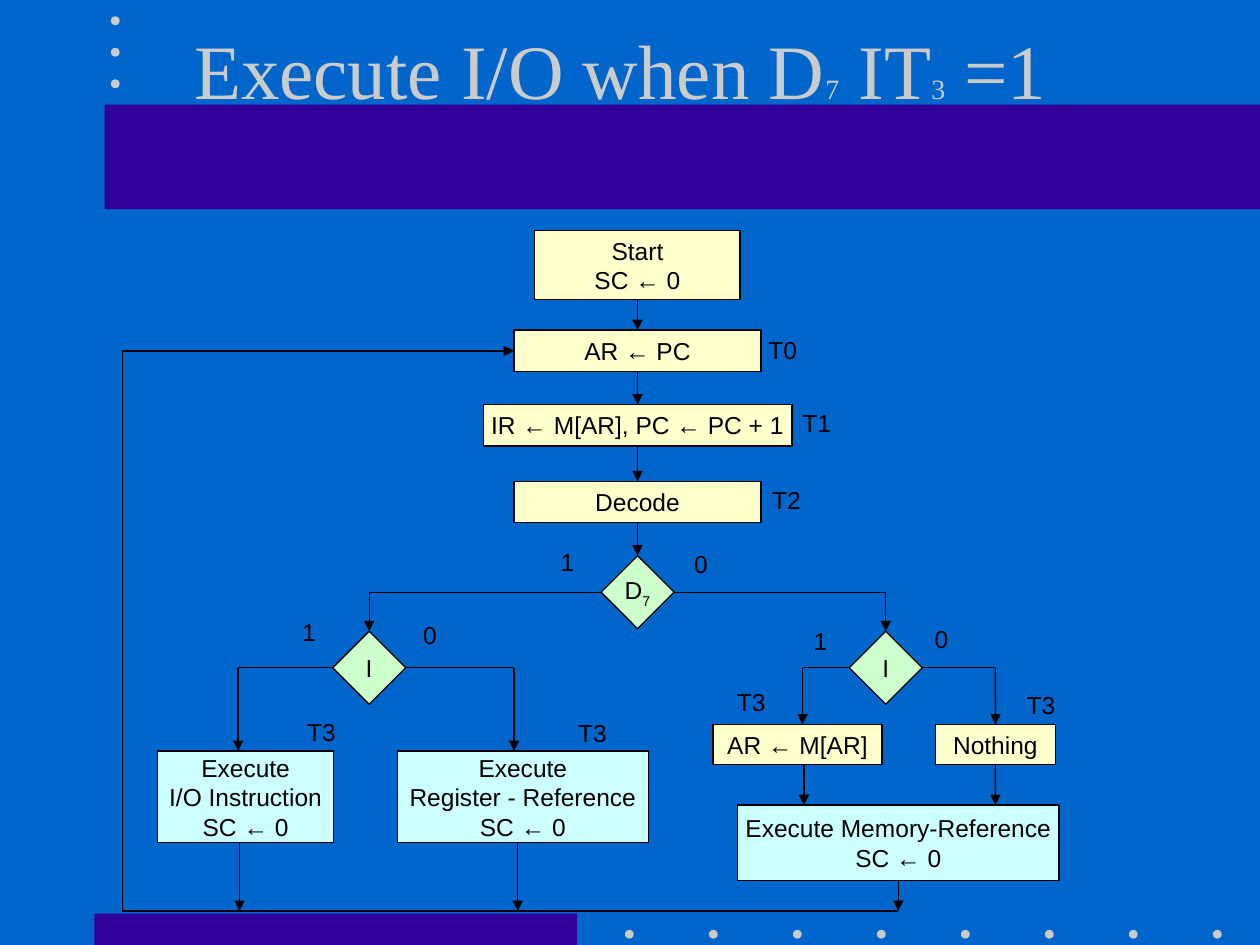
import pptx
import pptx.util
import pptx.dml.color
import pptx.enum.shapes
import pptx.enum.text
import pptx.oxml.ns
from lxml import etree

Inches = pptx.util.Inches
Pt = pptx.util.Pt
RGB = pptx.dml.color.RGBColor
KIND = pptx.enum.shapes.MSO_SHAPE
ALIGN = pptx.enum.text.PP_ALIGN
ANCHOR = pptx.enum.text.MSO_ANCHOR

BLUE = RGB(0x00, 0x66, 0xCC)
PURPLE = RGB(0x33, 0x00, 0x99)
GREY = RGB(0xCB, 0xCB, 0xCB)
BLACK = RGB(0x00, 0x00, 0x00)
CREAM = RGB(0xFF, 0xFF, 0xCC)
GREEN = RGB(0xCC, 0xFF, 0xCC)
AQUA = RGB(0xCC, 0xFF, 0xFF)

TOP, LEFT, BOTTOM, RIGHT = range(4)
DOT = 0.07

# name: (shape, fill, centre x, top, width, height, text)
NODES = {
    "start": (KIND.RECTANGLE, CREAM, 4.09, 0, 1.63, 0.55, "Start\nSC ← 0"),
    "fetch": (KIND.RECTANGLE, CREAM, 4.09, 0.79, 1.96, 0.33, "AR ← PC"),
    "read": (KIND.RECTANGLE, CREAM, 4.09, 1.38, 2.45, 0.33,
             "IR ← M[AR], PC ← PC + 1"),
    "decode": (KIND.RECTANGLE, CREAM, 4.09, 1.99, 1.96, 0.33, "Decode"),
    "d7": (KIND.DIAMOND, GREEN, 4.09, 2.58, 0.58, 0.58, "D"),
    "left i": (KIND.DIAMOND, GREEN, 1.96, 3.18, 0.58, 0.58, "I"),
    "right i": (KIND.DIAMOND, GREEN, 6.06, 3.18, 0.58, 0.58, "I"),
    "io": (KIND.RECTANGLE, AQUA, 0.98, 4.13, 1.4, 0.73,
           "Execute\nI/O Instruction\nSC ← 0"),
    "register": (KIND.RECTANGLE, AQUA, 3.18, 4.13, 1.99, 0.73,
                 "Execute\nRegister - Reference\nSC ← 0"),
    "address": (KIND.RECTANGLE, CREAM, 5.36, 3.92, 1.34, 0.32, "AR ← M[AR]"),
    "nothing": (KIND.RECTANGLE, CREAM, 6.93, 3.92, 0.95, 0.32, "Nothing"),
    "memory": (KIND.RECTANGLE, AQUA, 6.16, 4.56, 2.55, 0.6,
               "Execute Memory-Reference\nSC ← 0"),
}

# Each end is a point, or a node name with one of its sides.
ARROWS = [
    (("start", BOTTOM), ("fetch", TOP)),
    (("fetch", BOTTOM), ("read", TOP)),
    (("read", BOTTOM), ("decode", TOP)),
    (("decode", BOTTOM), ("d7", TOP)),
    ((1.96, 2.87), ("left i", TOP)),
    ((6.06, 2.87), ("right i", TOP)),
    ((0.92, 3.47), (0.92, 4.13)),
    ((3.11, 3.47), (3.11, 4.13)),
    ((5.4, 3.47), (5.4, 3.92)),
    ((6.93, 3.47), ("nothing", TOP)),
    ((5.41, 4.24), (5.41, 4.56)),
    (("nothing", BOTTOM), (6.93, 4.56)),
    ((0.93, 4.86), (0.93, 5.4)),
    ((3.14, 4.86), (3.14, 5.4)),
    (("memory", BOTTOM), (6.16, 5.4)),
    ((0, 0.955), ("fetch", LEFT)),
]
LINES = [
    (("d7", LEFT), (1.96, 2.87)),
    (("d7", RIGHT), (6.06, 2.87)),
    (("left i", LEFT), (0.92, 3.47)),
    (("left i", RIGHT), (3.11, 3.47)),
    (("right i", LEFT), (5.4, 3.47)),
    (("right i", RIGHT), (6.93, 3.47)),
    ((6.16, 5.4), (0, 5.4)),
    ((0, 5.4), (0, 0.955)),
]
LABELS = [
    ("T0", 5.03, 0.78), ("T1", 5.3, 1.36), ("T2", 5.06, 1.97),
    ("T3", 7.08, 3.6), ("T3", 4.78, 3.57),
    ("T3", 3.52, 3.82), ("T3", 1.37, 3.81),
    ("0", 4.44, 2.48), ("1", 3.38, 2.46),
    ("0", 6.35, 3.07), ("1", 5.39, 3.09),
    ("0", 2.29, 3.04), ("1", 1.33, 3.02),
]


def add_form(slide, kind, fill, x, y, wide, high):
    form = slide.shapes.add_shape(
        kind, Inches(x), Inches(y), Inches(wide), Inches(high))
    form.shadow.inherit = False
    form.fill.solid()
    form.fill.fore_color.rgb = fill
    form.line.fill.background()
    return form


def style_run(run, size, face, color):
    run.font.size = Pt(size)
    run.font.name = face
    run.font.color.rgb = color


def style_text(frame, align):
    """Give a flowchart text its font and alignment, without wrapping."""
    frame.word_wrap = False
    for para in frame.paragraphs:
        para.alignment = align
        for run in para.runs:
            style_run(run, 14, "Arial", BLACK)


def add_node(slide, x, y, kind, fill, mid, top, wide, high, text):
    node = add_form(slide, kind, fill, x + mid - wide / 2, y + top, wide, high)
    node.line.color.rgb = BLACK
    node.line.width = Pt(0.75)
    frame = node.text_frame
    frame.text = text
    frame.vertical_anchor = ANCHOR.MIDDLE
    if text == "D":
        sub = frame.paragraphs[0].add_run()
        sub.text = "7"
        sub._r.get_or_add_rPr().set("baseline", "-25000")
    style_text(frame, ALIGN.CENTER)
    return node


def add_link(slide, x, y, nodes, start, end, arrow):
    link = slide.shapes.add_connector(
        pptx.enum.shapes.MSO_CONNECTOR.STRAIGHT, 0, 0, 0, 0)
    if start[0] in nodes:
        link.begin_connect(nodes[start[0]], start[1])
    else:
        link.begin_x, link.begin_y = Inches(x + start[0]), Inches(y + start[1])
    if end[0] in nodes:
        link.end_connect(nodes[end[0]], end[1])
    else:
        link.end_x, link.end_y = Inches(x + end[0]), Inches(y + end[1])
    link.line.color.rgb = BLACK
    link.line.width = Pt(0.75)
    qn = pptx.oxml.ns.qn
    if arrow:
        tip = etree.SubElement(link.line._get_or_add_ln(), qn("a:tailEnd"))
        tip.set("type", "triangle")
    etree.SubElement(link._element.spPr, qn("a:effectLst"))


def add_label(slide, x, y, text):
    wide = 0.43 if len(text) > 1 else 0.31
    label = slide.shapes.add_textbox(
        Inches(x), Inches(y), Inches(wide), Inches(0.34))
    label.text_frame.text = text
    style_text(label.text_frame, ALIGN.LEFT)


def add_foot(slide, x, y, wide, high):
    """Bottom bar with a row of dots to its right."""
    add_form(slide, KIND.RECTANGLE, PURPLE, x, y, wide, high)
    for col in range(8):
        add_form(slide, KIND.OVAL, GREY, x + 4.21 + col * 2 / 3, y + 0.13,
                 DOT, DOT)


def add_band(slide, x, y, wide, high):
    """Wide bar with a column of dots above its left end."""
    add_form(slide, KIND.RECTANGLE, PURPLE, x, y, wide, high)
    for row in range(3):
        add_form(slide, KIND.OVAL, GREY, x + 0.05, y - 0.7 + row * 0.25,
                 DOT, DOT)


def add_title(slide, x, y, wide, high):
    box = slide.shapes.add_textbox(
        Inches(x), Inches(y), Inches(wide), Inches(high))
    frame = box.text_frame
    frame.word_wrap = True
    frame.vertical_anchor = ANCHOR.MIDDLE
    para = frame.paragraphs[0]
    para.alignment = ALIGN.CENTER
    for text, size in [("Execute I/O when D", 44), ("7", 16), (" IT", 44),
                       ("3", 16), (" =1 ", 44)]:
        run = para.add_run()
        run.text = text
        style_run(run, size, "Times New Roman", GREY)


def add_flow(slide, x, y):
    nodes = {name: add_node(slide, x, y, *node) for name, node in NODES.items()}
    for links, arrow in [(ARROWS, True), (LINES, False)]:
        for start, end in links:
            add_link(slide, x, y, nodes, start, end, arrow)
    for text, left, top in LABELS:
        add_label(slide, x + left, y + top, text)


def main():
    deck = pptx.Presentation()
    deck.slide_width, deck.slide_height = Inches(10), Inches(7.5)
    slide = deck.slides.add_slide(deck.slide_layouts[6])
    slide.background.fill.solid()
    slide.background.fill.fore_color.rgb = BLUE
    add_foot(slide, 0.75, 7.25, 3.83, 0.25)
    add_band(slide, 0.83, 0.83, 9.17, 0.83)
    add_title(slide, 0.75, -0.08, 8.5, 1.25)
    add_flow(slide, 0.97, 1.83)
    deck.save("out.pptx")


if __name__ == "__main__":
    main()
